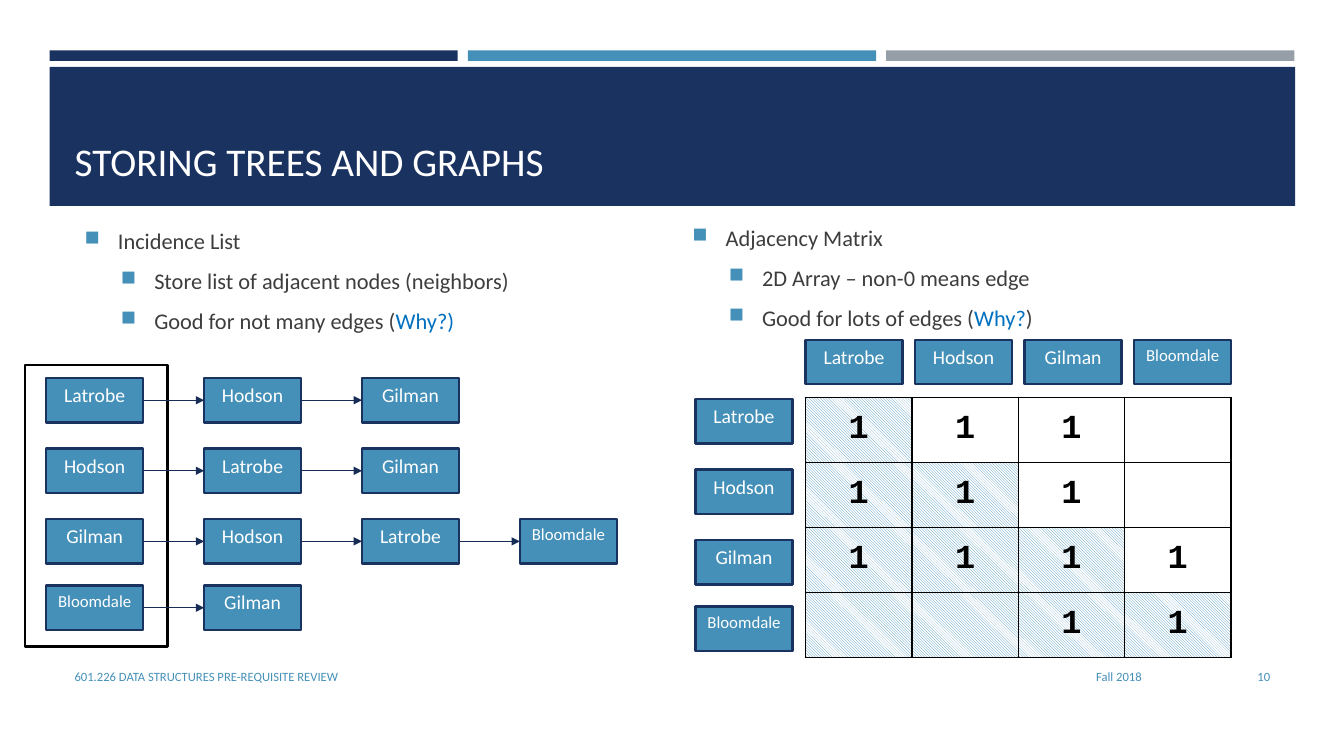
from lxml import etree
from pptx import Presentation, util as u
from pptx.dml.color import RGBColor
from pptx.enum import dml, shapes, text
from pptx.oxml import ns

NAVY = RGBColor(0x1A, 0x32, 0x60)
ARROW = RGBColor(0x17, 0x2D, 0x56)
BLUE = RGBColor(0x45, 0x90, 0xB8)
GRAY = RGBColor(0x96, 0x9F, 0xA7)
BODY = RGBColor(0x3D, 0x3D, 0x3D)
LINK = RGBColor(0x00, 0x70, 0xC0)
WHITE = RGBColor(0xFF, 0xFF, 0xFF)
BLACK = RGBColor(0x00, 0x00, 0x00)

BUILDINGS = ["Latrobe", "Hodson", "Gilman", "Bloomdale"]
NEIGHBORS = [[1, 2], [0, 2], [1, 0, 3], [2]]
MATRIX = ["111 ", "111 ", "1111", "  11"]
LIST_ROWS = [45, 53.4, 61.8, 69.7]
LIST_LEFT, LIST_STEP = 5.5, 18.8
MATRIX_LEFT, MATRIX_TOP = 95.9, 47.3
LABEL_STEP, CELL_WIDTH, CELL_HEIGHT = 13.04, 12.66, 7.74
LABEL_DROP = 2.5
NODE_SIZE = (11.55, 5.3)


def add_xml(parent, tag, **attributes):
    return etree.SubElement(parent, ns.qn(tag), attributes)


class SlideBuilder:
    """Draws styled elements on a slide divided into 160 columns and 90 rows."""

    font = "Calibri"

    def __init__(self, presentation):
        self.column = presentation.slide_width / 160
        self.row = presentation.slide_height / 90
        self.slide = presentation.slides.add_slide(presentation.slide_layouts[5])

    def box(self, left, top, width, height):
        return (round(left * self.column), round(top * self.row),
                round(width * self.column), round(height * self.row))

    def run(self, paragraph, words, size, color, font=None, bold=None):
        run = paragraph.add_run()
        run.text = words
        run.font.size = u.Pt(size)
        run.font.name = font or self.font
        run.font.bold = bold
        run.font.color.rgb = color

    def title(self, words, *place):
        title = self.slide.shapes.title
        title.left, title.top, title.width, title.height = self.box(*place)
        frame = title.text_frame
        frame.auto_size = text.MSO_AUTO_SIZE.NONE
        frame.vertical_anchor = text.MSO_ANCHOR.BOTTOM
        paragraph = frame.paragraphs[0]
        paragraph.alignment = text.PP_ALIGN.LEFT
        self.run(paragraph, words, 28, WHITE)
        title.element.getparent().append(title.element)

    def rectangle(self, *place, fill, line=None):
        shape = self.slide.shapes.add_shape(shapes.MSO_SHAPE.RECTANGLE, *self.box(*place))
        shape.shadow.inherit = False
        shape.fill.solid()
        shape.fill.fore_color.rgb = fill
        if line is None:
            shape.line.fill.background()
        else:
            shape.line.color.rgb = line
            shape.line.width = u.Pt(1.75)
        return shape

    def node(self, building, left, top):
        shape = self.rectangle(left, top, *NODE_SIZE, fill=BLUE, line=NAVY)
        frame = shape.text_frame
        frame.word_wrap = False
        frame.vertical_anchor = text.MSO_ANCHOR.TOP
        paragraph = frame.paragraphs[0]
        paragraph.alignment = text.PP_ALIGN.CENTER
        name = BUILDINGS[building]
        self.run(paragraph, name, 12 if len(name) > 7 else 14, WHITE)
        return shape

    def arrow(self, start, end):
        connector = self.slide.shapes.add_connector(shapes.MSO_CONNECTOR.STRAIGHT, 0, 0, 0, 0)
        connector.begin_connect(start, 3)
        connector.end_connect(end, 1)
        connector.line.color.rgb = ARROW
        connector.line.width = u.Pt(1)
        properties = connector.element.spPr
        add_xml(properties.find(ns.qn("a:ln")), "a:tailEnd", type="triangle")
        add_xml(properties, "a:effectLst")

    def text_frame(self, *place):
        frame = self.slide.shapes.add_textbox(*self.box(*place)).text_frame
        frame.word_wrap = True
        frame.vertical_anchor = text.MSO_ANCHOR.MIDDLE
        return frame

    def label(self, words, *place, alignment=text.PP_ALIGN.RIGHT):
        paragraph = self.text_frame(*place).paragraphs[0]
        paragraph.alignment = alignment
        self.run(paragraph, words, 9, BLUE)

    def bullets(self, items, *place):
        frame = self.text_frame(*place)
        for index, runs in enumerate(items):
            paragraph = frame.add_paragraph() if index else frame.paragraphs[0]
            paragraph.level = min(index, 1)
            paragraph.space_before = u.Pt(3.2)
            paragraph.space_after = u.Pt(6)
            properties = paragraph._p.get_or_add_pPr()
            properties.set("marL", str(u.Inches(0.69 if index else 0.33)))
            properties.set("indent", str(u.Inches(-0.33)))
            add_xml(add_xml(properties, "a:buClr"), "a:srgbClr", val=str(BLUE))
            add_xml(properties, "a:buSzPct", val="92000")
            add_xml(properties, "a:buChar", char="■")
            for words, color in runs:
                self.run(paragraph, words, 16, color)

    def matrix(self, rows, left, top):
        count = len(rows)
        place = self.box(left, top, CELL_WIDTH * count, CELL_HEIGHT * count)
        table = self.slide.shapes.add_table(count, count, *place).table
        table.first_row = table.horz_banding = False
        for row, marks in enumerate(rows):
            for column, mark in enumerate(marks):
                self.cell(table.cell(row, column), mark.strip(), shaded=column <= row)

    def cell(self, cell, mark, shaded):
        cell.vertical_anchor = text.MSO_ANCHOR.MIDDLE
        if shaded:
            cell.fill.patterned()
            cell.fill.pattern = dml.MSO_PATTERN.LIGHT_DOWNWARD_DIAGONAL
            cell.fill.fore_color.rgb = BLUE
            cell.fill.back_color.rgb = WHITE
        else:
            cell.fill.background()
        properties = cell._tc.get_or_add_tcPr()
        for position, side in enumerate("LRTB"):
            border = add_xml(properties, f"a:ln{side}", w=str(u.Pt(1)))
            add_xml(add_xml(border, "a:solidFill"), "a:srgbClr", val=str(BLACK))
            properties.insert(position, border)
        if mark:
            paragraph = cell.text_frame.paragraphs[0]
            paragraph.alignment = text.PP_ALIGN.CENTER
            self.run(paragraph, mark, 24, BLACK, "Courier New", True)


def main():
    presentation = Presentation()
    presentation.slide_width = u.Inches(13.33)
    presentation.slide_height = u.Inches(7.5)
    builder = SlideBuilder(presentation)

    for index, color in enumerate([NAVY, BLUE, GRAY]):
        builder.rectangle(5.9 + 49.8 * index, 6, 48.6, 1.25, fill=color)
    builder.rectangle(5.9, 7.95, 148.3, 16.55, fill=NAVY)
    builder.rectangle(3, 43.45, 16.95, 33.5, fill=WHITE, line=BLACK)
    builder.title("STORING TREES AND GRAPHS", 7.7, 9.6, 144.7, 12.95)

    builder.bullets([
        [("Incidence List", BODY)],
        [("Store list of adjacent nodes (neighbors)", BODY)],
        [("Good for not many edges (", BODY), ("Why?)", LINK)],
    ], 8.9, 25.7, 71.2, 15.35)
    builder.bullets([
        [("Adjacency Matrix", BODY)],
        [("2D Array – non-0 means edge", BODY)],
        [("Good for lots of edges (", BODY), ("Why?", LINK), (")", BODY)],
    ], 81.25, 29.3, 71.2, 7.55)

    for building, top in enumerate(LIST_ROWS):
        chain = [builder.node(item, LIST_LEFT + LIST_STEP * index, top)
                 for index, item in enumerate([building] + NEIGHBORS[building])]
        for start, end in zip(chain, chain[1:]):
            builder.arrow(start, end)
        builder.node(building, 82.8, top + LABEL_DROP)
        builder.node(building, MATRIX_LEFT + LABEL_STEP * building, 40.45)
    builder.matrix(MATRIX, MATRIX_LEFT, MATRIX_TOP)

    builder.label("601.226 DATA STRUCTURES PRE-REQUISITE REVIEW", 7.7, 78.1, 90.7, 4.8,
                  alignment=text.PP_ALIGN.LEFT)
    builder.label("Fall 2018", 99.8, 78.1, 37.3, 4.8)
    builder.label("10", 138.6, 78.1, 13.8, 4.8)
    presentation.save("out.pptx")


if __name__ == "__main__":
    main()
